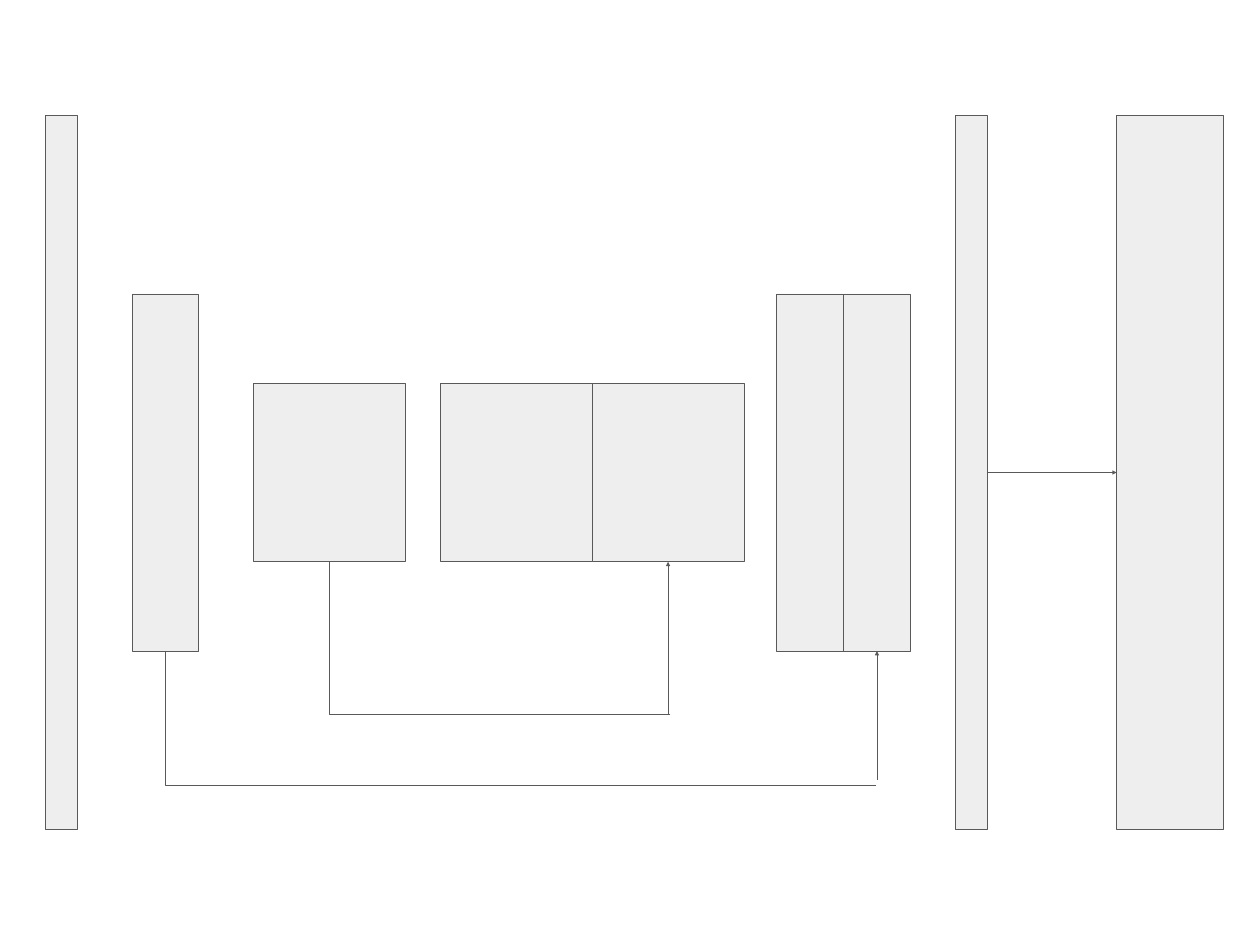
import pptx
import pptx.dml.color
import pptx.enum.shapes
import pptx.oxml.ns
import pptx.util
from lxml import etree

PX = 4572  # EMU per px, 200 px to the inch
FILL, STROKE = "EEEEEE", "595959"
AXIS = 1800  # every block is centred on this height
BOTTOM, LEFT, RIGHT = 2, 1, 3
qn = pptx.oxml.ns.qn
MSO = pptx.enum.shapes


def px(*lengths):
    """Turn px into EMU."""
    return [n * PX for n in lengths]


def paint(fmt, color):
    """Give a fill a solid hex colour."""
    fmt.solid()
    fmt.fore_color.rgb = pptx.dml.color.RGBColor.from_string(color)


prs = pptx.Presentation()
prs.slide_width, prs.slide_height = px(4800, 3600)
s = prs.slides.add_slide(prs.slide_layouts[6])

# Blocks: key, left, width, height
blocks = {}
for key, left, width, height in [
    ("input", 174, 120, 2720),
    ("encoder", 504, 253, 1360),
    ("bottleneck", 966, 578, 680),
    ("decoder", 1678, 578, 680),
    ("decoder skip", 2256, 578, 680),
    ("upsampled", 2959, 254, 1360),
    ("upsampled skip", 3214, 254, 1360),
    ("features", 3640, 120, 2720),
    ("output", 4254, 406, 2720),
]:
    sp = s.shapes.add_shape(MSO.MSO_SHAPE.RECTANGLE,
                            *px(left, AXIS - height // 2, width, height))
    sp.shadow.inherit = False
    paint(sp.fill, FILL)
    paint(sp.line.fill, STROKE)
    sp.line.width = pptx.util.Pt(0.75)
    blocks[key] = sp

# Connectors: start, end, (block, side) at the start, (block, side) at the end.
# Those without joined blocks are bent: across first, then up.
for start, end, source, target in [
    ((2545, 2720), (2545, 2140), None, ("decoder skip", BOTTOM)),
    ((2554, 2720), (1256, 2140), None, None),
    ((3341, 2972), (3341, 2480), None, ("upsampled skip", BOTTOM)),
    ((3338, 2990), (630, 2480), None, None),
    ((3760, AXIS), (4254, AXIS), ("features", RIGHT), ("output", LEFT)),
]:
    kind = MSO.MSO_CONNECTOR.STRAIGHT if target else MSO.MSO_CONNECTOR.ELBOW
    c = s.shapes.add_connector(kind, *px(*start, *end))
    paint(c.line.fill, STROKE)
    c.line.width = pptx.util.Pt(0.75)
    spPr = c._element.spPr
    if source:
        c.begin_connect(blocks[source[0]], source[1])
    if target:
        c.end_connect(blocks[target[0]], target[1])
        etree.SubElement(spPr.find(qn("a:ln")), qn("a:tailEnd"), type="triangle")
    else:
        spPr.find(qn("a:prstGeom")).set("prst", "bentConnector2")
    etree.SubElement(spPr, qn("a:effectLst"))

prs.save("out.pptx")
